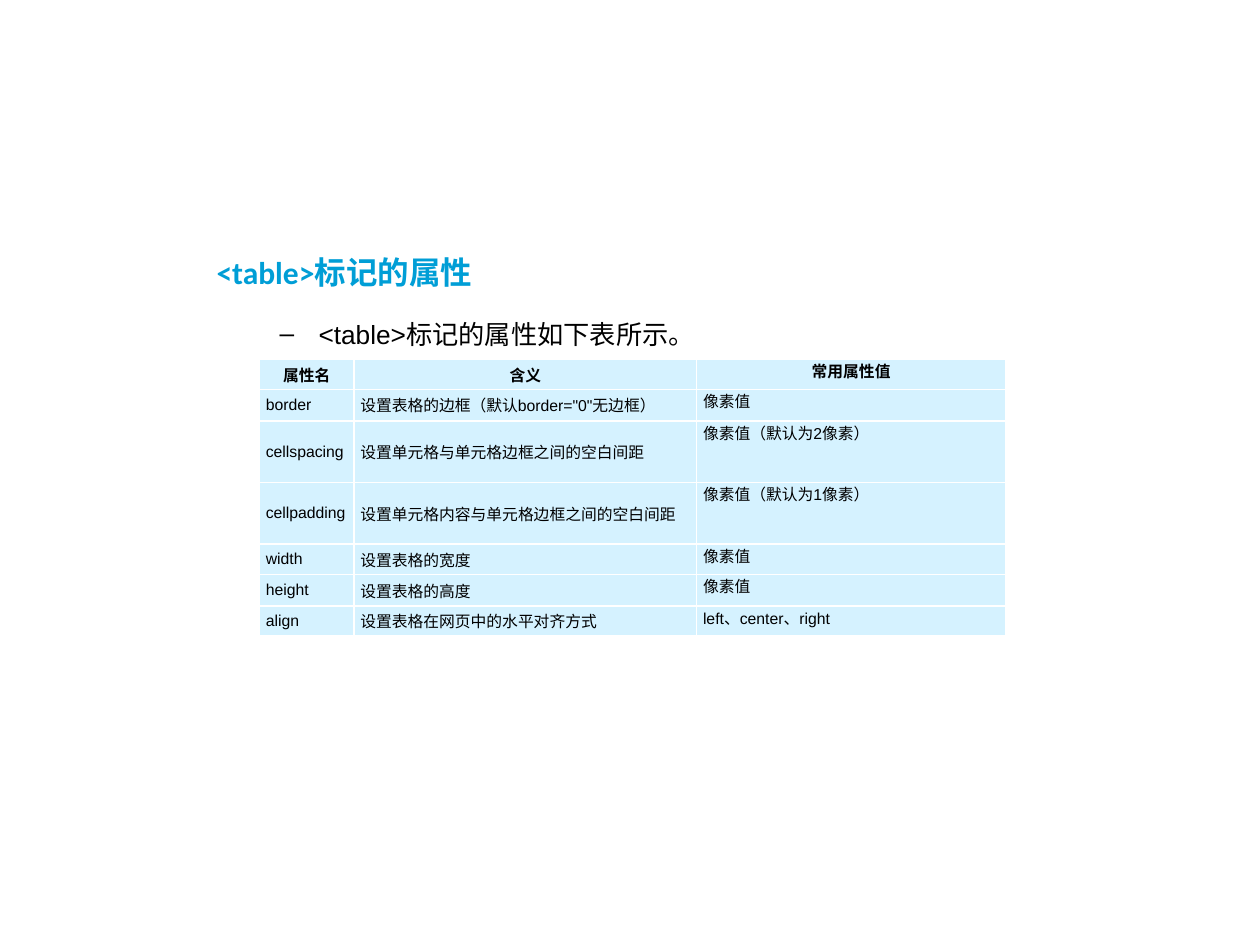
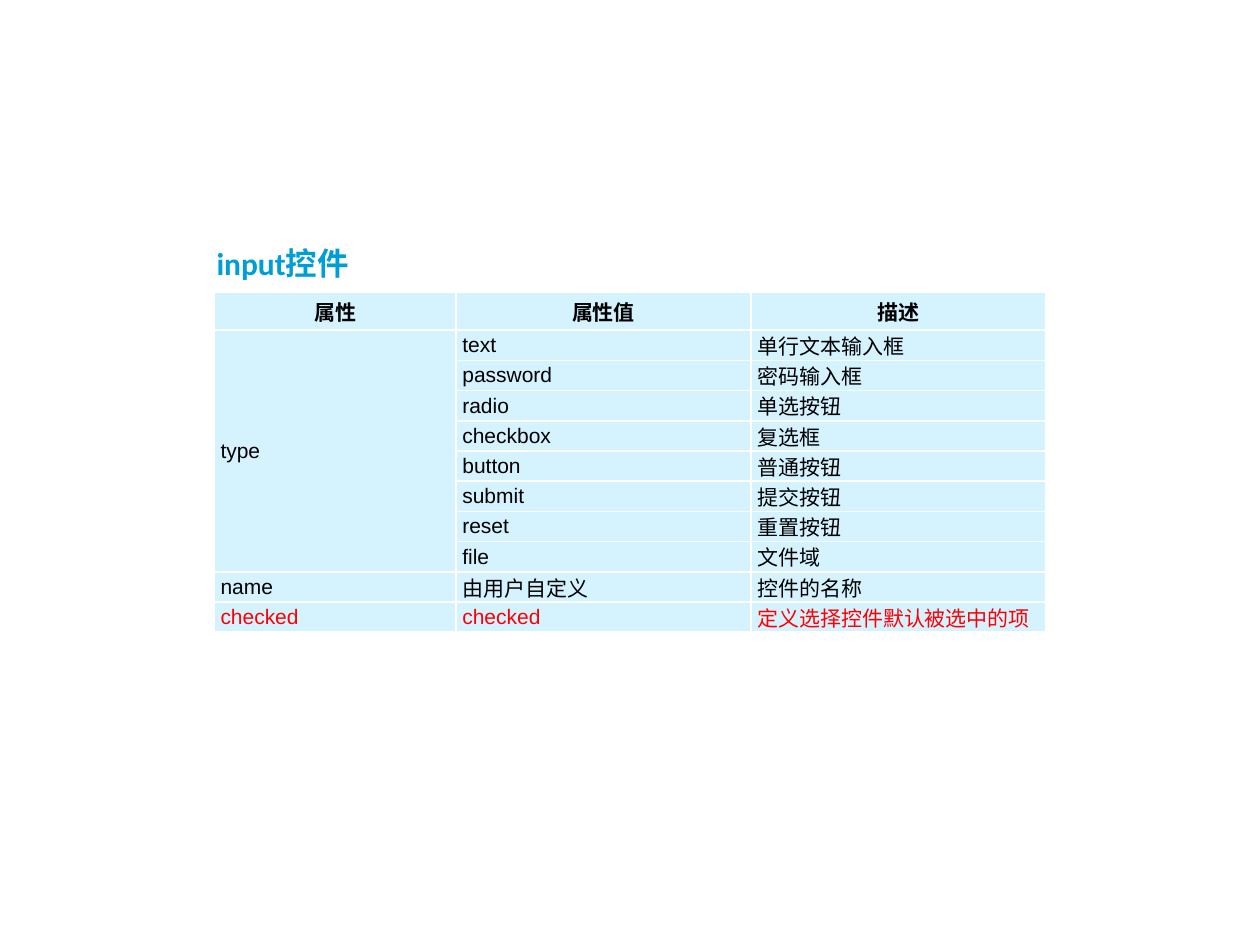
import pptx
import pptx.util
import pptx.dml.color
import pptx.enum.text
import pptx.oxml
import pptx.oxml.ns
from lxml import etree

Inches = pptx.util.Inches
Pt = pptx.util.Pt
Align = pptx.enum.text.PP_ALIGN
Anchor = pptx.enum.text.MSO_ANCHOR
qn = pptx.oxml.ns.qn

COLORS = {
    "paper": "FFFFFF",
    "title": "009ED6",
    "ink": "000000",
    "cell": "D5F2FF",
    "accent": "FF0000",
}


def rgb(name):
    return pptx.dml.color.RGBColor.from_string(COLORS[name])


class Lesson:
    def __init__(self, deck):
        self.deck = deck
        self.page = None

    def new_page(self):
        self.page = self.deck.slides.add_slide(self.deck.slide_layouts[6])

    def set_font(self, paragraph, name, size, color, bold=False):
        font = paragraph.font
        font.name, font.size, font.bold = name, Pt(size), bold
        font.color.rgb = rgb(color)

    def text_box(self, left, top, width, height, text):
        box = self.page.shapes.add_textbox(Inches(left), Inches(top), Inches(width), Inches(height))
        frame = box.text_frame
        frame.word_wrap = True
        para = frame.paragraphs[0]
        para.text = text
        para.line_spacing = 1.5
        return box, para

    def title(self, top, text):
        box, para = self.text_box(1.62, top, 6.75, 4.15, text)
        box.fill.solid()
        box.fill.fore_color.rgb = rgb("paper")
        self.set_font(para, "Calibri", 18, "title", True)

    def dash_item(self, top, text):
        box, para = self.text_box(1.62, top, 6.75, 0.4, text)
        para.level = 1
        properties = para._p.get_or_add_pPr()
        properties.set("marL", str(Inches(0.81)))
        properties.set("indent", str(Inches(-0.31)))
        etree.SubElement(properties, qn("a:buFont")).set("typeface", "Arial")
        etree.SubElement(properties, qn("a:buChar")).set("char", "–")
        self.set_font(para, "Arial", 15, "ink")

    def cell_borders(self, cell):
        properties = cell._tc.get_or_add_tcPr()
        for position, side in enumerate(("a:lnL", "a:lnR", "a:lnT", "a:lnB")):
            line = etree.Element(qn(side), w=str(Pt(1)))
            fill = etree.SubElement(line, qn("a:solidFill"))
            etree.SubElement(fill, qn("a:srgbClr")).set("val", COLORS["paper"])
            properties.insert(position, line)

    def table(self, left, top, widths, heights, rows, size, top_cells=(), red_rows=()):
        frame = self.page.shapes.add_table(
            len(rows), len(widths), Inches(left), Inches(top),
            Inches(sum(widths)), Inches(sum(heights)))
        table = frame.table
        table.first_row = table.horz_banding = False
        for column, width in zip(table.columns, widths):
            column.width = Inches(width)
        for row, height in zip(table.rows, heights):
            row.height = Inches(height)
        for r, texts in enumerate(rows):
            for c, text in enumerate(texts):
                cell = table.cell(r, c)
                cell.fill.solid()
                cell.fill.fore_color.rgb = rgb("cell")
                self.cell_borders(cell)
                cell.margin_left = cell.margin_right = Inches(0.05)
                cell.margin_top = cell.margin_bottom = 0
                cell.vertical_anchor = Anchor.TOP if c in top_cells else Anchor.MIDDLE
                para = cell.text_frame.paragraphs[0]
                para.text = text
                para.alignment = Align.CENTER if r == 0 else Align.LEFT
                color = "accent" if r in red_rows else "ink"
                self.set_font(para, "Arial", size, color, r == 0)
        return table


def table_attributes(lesson):
    lesson.new_page()
    lesson.title(1.81, "<table>标记的属性")
    lesson.dash_item(2.35, "<table>标记的属性如下表所示。")
    rows = [
        ("属性名", "含义", "常用属性值"),
        ("border", "设置表格的边框（默认border=\"0\"无边框）", "像素值"),
        ("cellspacing", "设置单元格与单元格边框之间的空白间距", "像素值（默认为2像素）"),
        ("cellpadding", "设置单元格内容与单元格边框之间的空白间距", "像素值（默认为1像素）"),
        ("width", "设置表格的宽度", "像素值"),
        ("height", "设置表格的高度", "像素值"),
        ("align", "设置表格在网页中的水平对齐方式", "left、center、right"),
    ]
    heights = [0.24, 0.25, 0.49, 0.49, 0.24, 0.25, 0.24]
    lesson.table(2.06, 2.85, [0.75, 2.72, 2.45], heights, rows, 9, top_cells=(2,))


def input_control(lesson):
    lesson.new_page()
    lesson.title(1.74, "input控件")
    types = [
        ("text", "单行文本输入框"),
        ("password", "密码输入框"),
        ("radio", "单选按钮"),
        ("checkbox", "复选框"),
        ("button", "普通按钮"),
        ("submit", "提交按钮"),
        ("reset", "重置按钮"),
        ("file", "文件域"),
    ]
    rows = [("属性", "属性值", "描述")]
    rows += [("" if i else "type", *pair) for i, pair in enumerate(types)]
    rows += [
        ("name", "由用户自定义", "控件的名称"),
        ("checked", "checked", "定义选择控件默认被选中的项"),
    ]
    heights = [0.3] + [0.24] * (len(rows) - 1)
    table = lesson.table(1.7, 2.32, [1.92, 2.34, 2.34], heights, rows, 12,
                         red_rows=(len(rows) - 1,))
    table.cell(1, 0).merge(table.cell(len(types), 0))


def main():
    deck = pptx.Presentation()
    deck.slide_width, deck.slide_height = Inches(10), Inches(7.5)
    lesson = Lesson(deck)
    table_attributes(lesson)
    input_control(lesson)
    deck.save("out.pptx")


if __name__ == "__main__":
    main()
